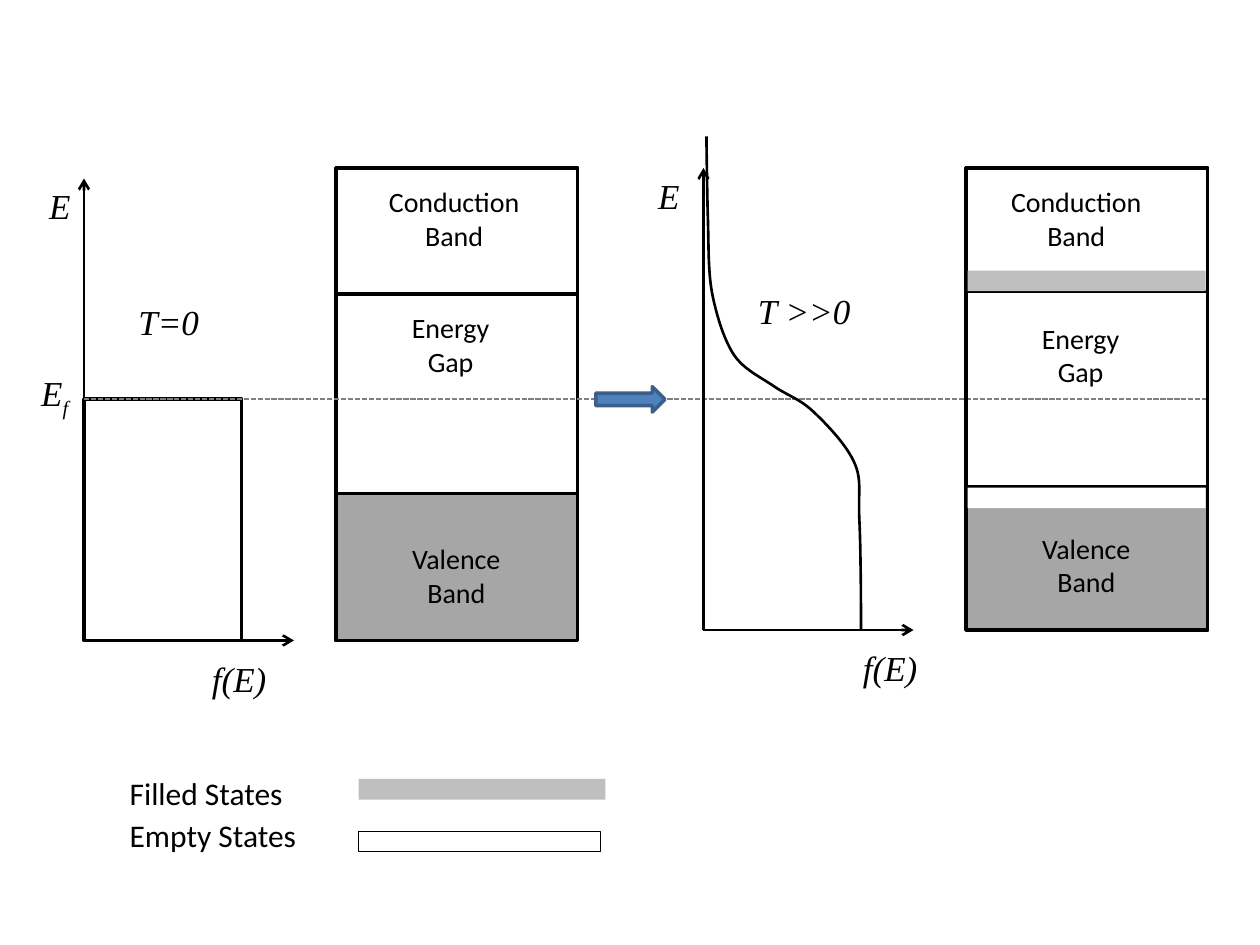
from dataclasses import dataclass
from itertools import pairwise

from lxml import etree
from pptx import Presentation
from pptx import util as u
from pptx.dml.color import RGBColor
from pptx.enum import dml, shapes, text
from pptx.oxml import ns


@dataclass(frozen=True)
class Theme:
    ink: str = "000000"
    paper: str = "FFFFFF"
    valence: str = "A6A6A6"
    filled: str = "BFBFBF"
    fermi: str = "808080"
    arrow: str = "4F81BD"
    arrow_edge: str = "3A5F8C"
    sans: str = "Calibri"
    serif: str = "Times New Roman"
    symbol_size: float = 20
    legend_size: float = 18
    band_size: float = 16


@dataclass(frozen=True)
class Axes:
    x: float
    y: float
    top: float
    right: float


@dataclass(frozen=True)
class Bands:
    x: float
    height: float
    conduction: float
    valence: float
    labels: tuple[tuple[str, float, float, float], ...]


THEME = Theme()
BAND_TOP, BAND_WIDTH, FERMI_Y = 96, 138, 228

COLD_AXES = Axes(48, 366, 102, 168)
HOT_AXES = Axes(402, 360, 96, 522)
COLD_BANDS = Bands(192, 270, 72, 84, (
    ("Conduction Band", 214.5, 102, 90),
    ("Valence Band", 228, 306, 65.5),
    ("Energy Gap", 228, 174, 59)))
HOT_BANDS = Bands(552, 264, 70.5, 82, (
    ("Conduction Band", 570, 102, 90),
    ("Energy Gap", 588, 180, 59),
    ("Valence Band", 588, 300, 65.5)))

# Knots and handles of the Fermi curve, three points per Bezier piece
FERMI_CURVE = [
    (492, 360.5), (492, 336.5), (491.8, 312), (491, 295.5),
    (490.5, 279), (492.5, 273.5), (487.8, 263.5),
    (483, 253.5), (472, 242), (464.5, 235),
    (457, 228), (450, 226), (442.3, 220.8),
    (434.7, 215.5), (425.5, 211.5), (419.5, 203),
    (413.8, 194.5), (409.5, 180.5), (407, 168),
    (404.5, 155), (405, 139.5), (404.5, 124.5),
    (404, 109.5), (403.7, 78), (403.7, 78)]


def style_line(line, color: str | None, width: float) -> None:
    if color is None:
        line.fill.background()
    else:
        line.color.rgb = RGBColor.from_string(color)
        line.width = u.Pt(width)


def add_block(page, x: float, y: float, width: float, height: float,
              fill: str | None = None, edge: str | None = None,
              weight: float = 2, kind=shapes.MSO_SHAPE.RECTANGLE) -> None:
    block = page.shapes.add_shape(kind, u.Pt(x), u.Pt(y), u.Pt(width), u.Pt(height))
    block.shadow.inherit = False
    if fill is None:
        block.fill.background()
    else:
        block.fill.solid()
        block.fill.fore_color.rgb = RGBColor.from_string(fill)
    style_line(block.line, edge, weight)


def add_line(page, start: tuple[float, float], end: tuple[float, float],
             color: str, width: float, arrow: bool = False):
    line = page.shapes.add_connector(
        shapes.MSO_CONNECTOR.STRAIGHT, *map(u.Pt, start + end))
    style_line(line.line, color, width)
    properties = line._element.spPr
    if arrow:
        head = etree.SubElement(properties.find(ns.qn("a:ln")), ns.qn("a:tailEnd"))
        head.set("type", "arrow")
    etree.SubElement(properties, ns.qn("a:effectLst"))
    return line


def add_label(page, lines: list[str], x: float, y: float, width: float,
              height: float, size: float, font: str, italic: bool = False,
              centered: bool = False, subscript: str = "") -> None:
    box = page.shapes.add_textbox(u.Pt(x), u.Pt(y), u.Pt(width), u.Pt(height))
    frame = box.text_frame
    frame.word_wrap = False
    frame.auto_size = text.MSO_AUTO_SIZE.SHAPE_TO_FIT_TEXT
    for index, line in enumerate(lines):
        para = frame.add_paragraph() if index else frame.paragraphs[0]
        para.alignment = text.PP_ALIGN.CENTER if centered else text.PP_ALIGN.LEFT
        for part in filter(None, (line, subscript)):
            span = para.add_run()
            span.text = part
            span.font.size = u.Pt(size)
            span.font.name = font
            span.font.italic = italic
            span.font.color.rgb = RGBColor.from_string(THEME.ink)
            if part == subscript:
                span._r.get_or_add_rPr().set("baseline", "-25000")


def add_symbol(page, symbol: str, x: float, y: float, width: float,
               subscript: str = "") -> None:
    add_label(page, [symbol], x, y, width, 31.5, THEME.symbol_size, THEME.serif,
              italic=True, subscript=subscript)


def add_axes(page, axes: Axes) -> None:
    origin = (axes.x, axes.y)
    for end in ((axes.x, axes.top), (axes.right, axes.y)):
        add_line(page, origin, end, THEME.ink, 1.5, arrow=True)


def add_bands(page, bands: Bands) -> None:
    bottom = BAND_TOP + bands.height
    for y, height, fill in (
            (BAND_TOP, bands.height, None),
            (bottom - bands.valence, bands.valence, THEME.valence),
            (BAND_TOP, bands.conduction, None)):
        add_block(page, bands.x, y, BAND_WIDTH, height, fill, THEME.ink)
    for label, x, y, width in bands.labels:
        add_label(page, label.split(), x, y, width, 46, THEME.band_size,
                  THEME.sans, centered=True)


def add_curve(page, points: list[tuple[float, float]], steps: int = 12) -> None:
    def bezier(a: float, b: float, c: float, d: float, t: float) -> int:
        s = 1 - t
        return u.Pt(a * s**3 + 3 * b * s * s * t + 3 * c * s * t * t + d * t**3)

    knots = range(0, len(points), 3)
    vertices = [
        tuple(bezier(*axis, step / steps) for axis in zip(*points[first:last + 1]))
        for first, last in pairwise(knots) for step in range(1, steps + 1)]
    builder = page.shapes.build_freeform(*map(u.Pt, points[0]))
    builder.add_line_segments(vertices, close=False)
    curve = builder.convert_to_shape()
    curve.shadow.inherit = False
    curve.fill.background()
    style_line(curve.line, THEME.ink, 1.5)


def main() -> None:
    deck = Presentation()
    deck.slide_width, deck.slide_height = u.Pt(720), u.Pt(540)
    page = deck.slides.add_slide(deck.slide_layouts[6])

    # Zero temperature: step distribution and bands
    add_axes(page, COLD_AXES)
    add_block(page, COLD_AXES.x, FERMI_Y, 90, COLD_AXES.y - FERMI_Y, edge=THEME.ink)
    add_symbol(page, "E", 21, 102, 26.5)
    add_symbol(page, "T=0", 72, 168, 49.5)
    add_symbol(page, "f(E)", 114, 372, 46)
    add_symbol(page, "E", 16.5, 209, 31, subscript="f")
    add_bands(page, COLD_BANDS)

    # Fermi level across both diagrams
    fermi = add_line(page, (COLD_AXES.x, FERMI_Y),
                     (HOT_BANDS.x + BAND_WIDTH, FERMI_Y), THEME.fermi, 1)
    fermi.line.dash_style = dml.MSO_LINE.SQUARE_DOT

    # Legend
    add_label(page, ["Filled States"], 67, 439, 103, 29, THEME.legend_size, THEME.sans)
    add_label(page, ["Empty States"], 67, 463, 111, 29, THEME.legend_size, THEME.sans)
    add_block(page, 205, 445, 141, 12, THEME.filled)
    add_block(page, 205, 475, 138, 11.5, THEME.paper, THEME.ink, 0.5)

    # High temperature: smooth distribution and bands
    add_axes(page, HOT_AXES)
    add_symbol(page, "E", 369, 96, 26.5)
    add_symbol(page, "T >>0", 426, 162, 67.5)
    add_curve(page, FERMI_CURVE)
    add_symbol(page, "f(E)", 486, 366, 46)
    add_block(page, 340.5, 221, 39.5, 14.5, THEME.arrow, THEME.arrow_edge,
              kind=shapes.MSO_SHAPE.RIGHT_ARROW)
    add_bands(page, HOT_BANDS)

    # Thermally emptied and filled states at the band edges
    for y, fill in ((278.7, THEME.paper), (154.7, THEME.filled)):
        add_block(page, HOT_BANDS.x + 1, y, BAND_WIDTH - 2, 11.7, fill)

    deck.save("out.pptx")


if __name__ == "__main__":
    main()
